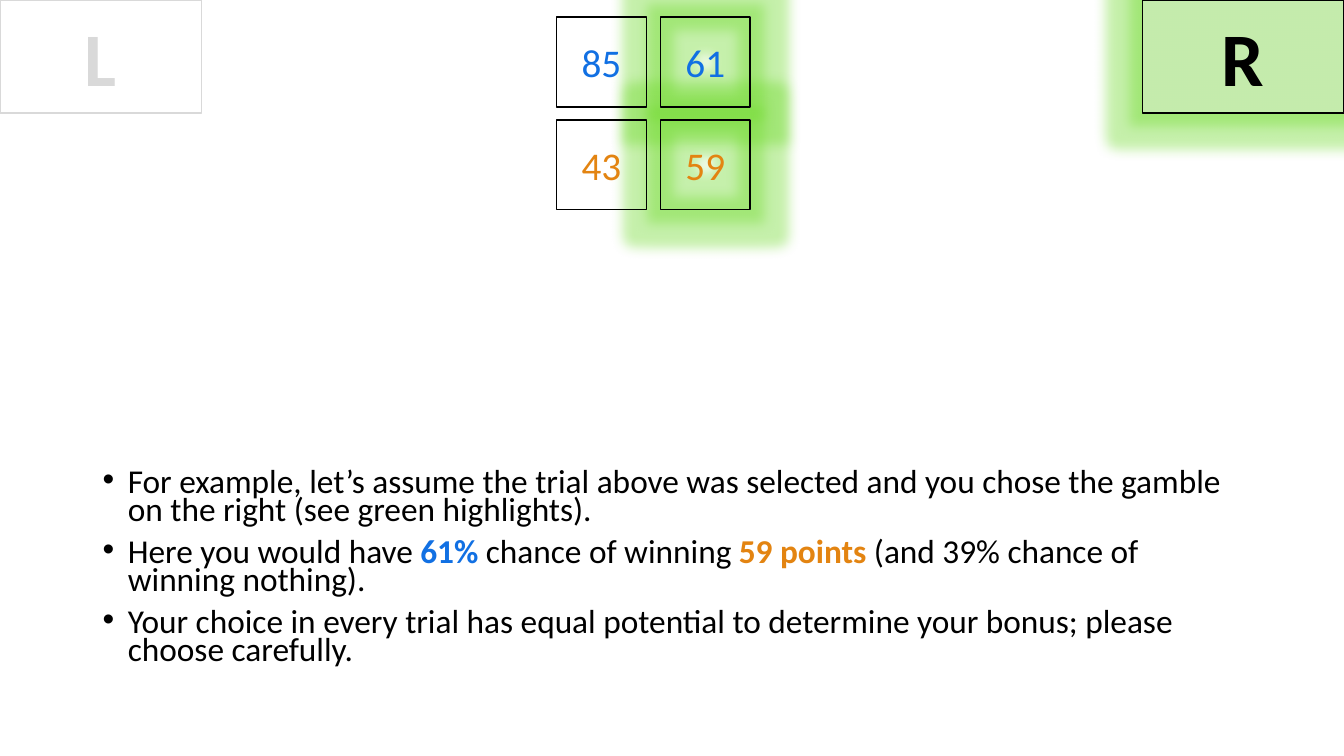
"""Build the gamble example slide with the right-hand choice highlighted."""
from lxml.etree import SubElement
from pptx import Presentation
from pptx.dml.color import RGBColor
from pptx.enum.shapes import MSO_SHAPE as Shape
from pptx.enum.text import MSO_ANCHOR as Anchor, PP_ALIGN as Align
from pptx.oxml.ns import qn
from pptx.util import Inches, Pt

COLORS = {"chance": "1170E3", "points": "E38411", "ink": "000000", "paper": "FFFFFF",
          "faded": "D9D9D9", "chosen": "E2F0D9", "glow": "70DB2C"}
GAMBLES = [("chance", ["85", "61"]), ("points", ["43", "59"])]
CHOSEN_COLUMN = 1
CHOICES = [
    {"text": "L", "column": 0, "fill": "paper", "color": "faded", "line": "faded"},
    {"text": "R", "column": 1, "fill": "chosen", "color": "ink", "line": "ink",
     "opacity": 54, "glow": True},
]
BULLETS = [
    [("For example, let’s assume the trial above was selected and you chose the gamble "
      "on the right (see green highlights).", "ink")],
    [("Here you would have ", "ink"), ("61% ", "chance"), ("chance of winning ", "ink"),
     ("59 points ", "points"), ("(and 39% chance of winning nothing).", "ink")],
    [("Your choice in every trial has equal potential to determine your bonus; "
      "please choose carefully.", "ink")],
]
WIDTH, HEIGHT = 13.33, 7.5
CELL, GRID_LEFT, GRID_TOP, STEP_X, STEP_Y = 0.89, 5.52, 0.17, 1.03, 1.02
CHOICE_WIDTH, CHOICE_HEIGHT = 2, 1.12
GLOW_RADIUS, GLOW_OPACITY = 18, 40


def rgb(name):
    return RGBColor.from_string(COLORS[name])


def write(para, text, size=28, color="ink", bold=False):
    span = para.add_run()
    span.text = text
    span.font.name = "Calibri"
    span.font.size = Pt(size)
    span.font.bold = bold
    span.font.color.rgb = rgb(color)


def add_glow(box):
    effects = box._element.spPr.find(qn("a:effectLst"))
    glow = SubElement(effects, qn("a:glow"), rad=str(Pt(GLOW_RADIUS)))
    color = SubElement(glow, qn("a:srgbClr"), val=COLORS["glow"])
    SubElement(color, qn("a:alpha"), val=str(GLOW_OPACITY * 1000))


def add_box(shapes, area, line="ink", fill=None, opacity=100, glow=False, text="", **style):
    box = shapes.add_shape(Shape.RECTANGLE, *map(Inches, area))
    box.shadow.inherit = False
    box.line.color.rgb = rgb(line)
    box.line.width = Pt(1)
    if fill:
        box.fill.solid()
        box.fill.fore_color.rgb = rgb(fill)
        if opacity < 100:
            color = box._element.spPr.find(qn("a:solidFill"))[0]
            SubElement(color, qn("a:alpha"), val=str(opacity * 1000))
    else:
        box.fill.background()
    if glow:
        add_glow(box)
    if text:
        box.text_frame.vertical_anchor = Anchor.MIDDLE
        para = box.text_frame.paragraphs[0]
        para.alignment = Align.CENTER
        write(para, text, **style)


def cell_area(row, column):
    return GRID_LEFT + column * STEP_X, GRID_TOP + row * STEP_Y, CELL, CELL


def add_bullets(page):
    frame = page.shapes.add_textbox(*map(Inches, (0.92, 4.62, 11.5, 2.29))).text_frame
    frame.word_wrap = True
    for index, spans in enumerate(BULLETS):
        para = frame.add_paragraph() if index else frame.paragraphs[0]
        props = para._p.get_or_add_pPr()
        props.set("marL", str(Inches(0.25)))
        props.set("indent", str(Inches(-0.25)))
        para.line_spacing = 0.7
        para.space_before = Pt(10 if index else 0)
        SubElement(props, qn("a:buFont"), typeface="Arial")
        SubElement(props, qn("a:buChar"), char="•")
        for text, color in spans:
            write(para, text, size=23.8, color=color, bold=color != "ink")


def main():
    deck = Presentation()
    deck.slide_width, deck.slide_height = Inches(WIDTH), Inches(HEIGHT)
    page = deck.slides.add_slide(deck.slide_layouts[6])
    for row in range(len(GAMBLES)):
        add_box(page.shapes, cell_area(row, CHOSEN_COLUMN), line="paper", glow=True)
    add_bullets(page)
    grid = page.shapes.add_group_shape()
    for row, (color, values) in enumerate(GAMBLES):
        for column, value in enumerate(values):
            add_box(grid.shapes, cell_area(row, column), text=value, color=color)
    for choice in CHOICES:
        style = dict(choice)
        left = style.pop("column") * (WIDTH - CHOICE_WIDTH)
        add_box(page.shapes, (left, 0, CHOICE_WIDTH, CHOICE_HEIGHT), size=54, bold=True, **style)
    deck.save("out.pptx")


if __name__ == "__main__":
    main()
